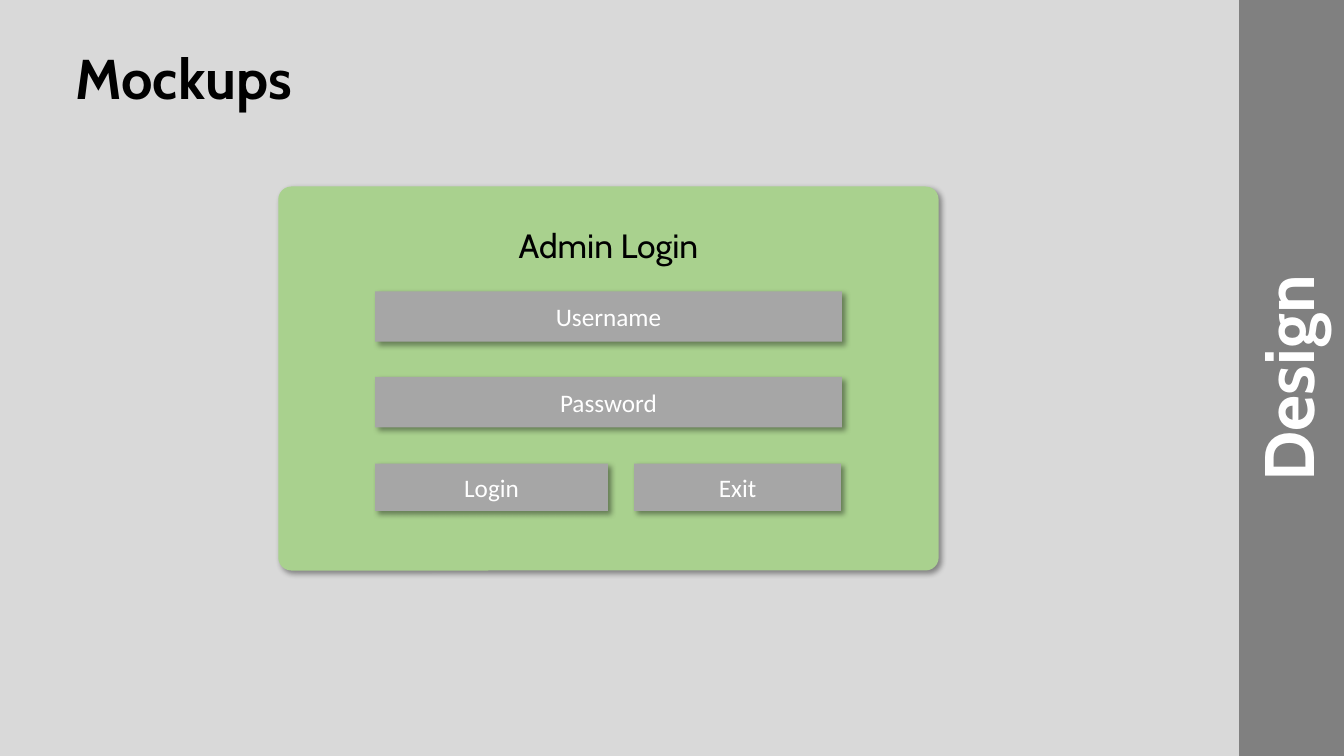
"""Build the Mockups slide with an admin login form."""
import pptx
import pptx.util
import pptx.dml.color
import pptx.enum.shapes
import pptx.enum.text
import pptx.oxml

Inches = pptx.util.Inches
Shape = pptx.enum.shapes.MSO_SHAPE
Align = pptx.enum.text.PP_ALIGN
Anchor = pptx.enum.text.MSO_ANCHOR
Fit = pptx.enum.text.MSO_AUTO_SIZE
HUES = {"back": "D9D9D9", "side": "808080", "card": "A9D18E",
        "field": "A6A6A6", "dark": "000000", "light": "FFFFFF"}
SHADE = (
    '<a:effectLst xmlns:a="http://schemas.openxmlformats.org/drawingml/2006/main">'
    '<a:outerShdw blurRad="50800" dist="38100" dir="2700000" algn="tl" rotWithShape="0">'
    '<a:srgbClr val="000000"><a:alpha val="40000"/></a:srgbClr>'
    '</a:outerShdw></a:effectLst>')


def block(kind, box, hue, shade=True):
    shape = slide.shapes.add_shape(kind, *map(Inches, box))
    shape.fill.solid()
    shape.fill.fore_color.rgb = pptx.dml.color.RGBColor.from_string(HUES[hue])
    shape.line.fill.background()
    shape.shadow.inherit = False
    if shade:
        props = shape._element.spPr
        props.remove(props.effectLst)
        props.append(pptx.oxml.parse_xml(SHADE))
    return shape


def write(shape, text, face, size, hue, bold=False, align=Align.CENTER,
          anchor=Anchor.TOP, fit=Fit.SHAPE_TO_FIT_TEXT):
    frame = shape.text_frame
    frame.text = text
    frame.word_wrap = True
    frame.auto_size = fit
    frame.vertical_anchor = anchor
    para = frame.paragraphs[0]
    para.alignment = align
    para.font.name = face
    para.font.size = pptx.util.Pt(size)
    para.font.bold = bold
    para.font.color.rgb = pptx.dml.color.RGBColor.from_string(HUES[hue])


deck = pptx.Presentation()
deck.slide_width, deck.slide_height = Inches(13.33), Inches(7.5)
slide = deck.slides.add_slide(deck.slide_layouts[5])
slide.background.fill.solid()
slide.background.fill.fore_color.rgb = pptx.dml.color.RGBColor.from_string(HUES["back"])

side = block(Shape.RECTANGLE, (12.29, 0, 1.04, 7.5), "side", shade=False)
write(side, "Design", "Cabin", 50, "light", bold=True)
side.text_frame._txBody.bodyPr.set("vert", "vert270")

title = slide.shapes.title
title.left, title.top, title.width, title.height = map(Inches, (0.65, 0.38, 10.76, 0.77))
write(title, "Mockups", "Cabin", 40, "dark", bold=True, align=Align.LEFT)

card = block(Shape.ROUNDED_RECTANGLE, (2.76, 1.85, 6.55, 3.81), "card")
card.adjustments[0] = 0.034
head = slide.shapes.add_textbox(*map(Inches, (4.01, 2.18, 4.05, 0.5)))
write(head, "Admin Login", "Cabin", 24, "dark")

fields = [("Username", 3.72, 2.89, 4.63, 0.5),
          ("Password", 3.72, 3.74, 4.63, 0.5),
          ("Login", 3.72, 4.6, 2.31, 0.47),
          ("Exit", 6.29, 4.6, 2.05, 0.47)]
for label, *box in fields:
    field = block(Shape.RECTANGLE, box, "field")
    write(field, label, "Calibri", 18, "light", anchor=Anchor.MIDDLE, fit=Fit.NONE)

deck.save("out.pptx")
